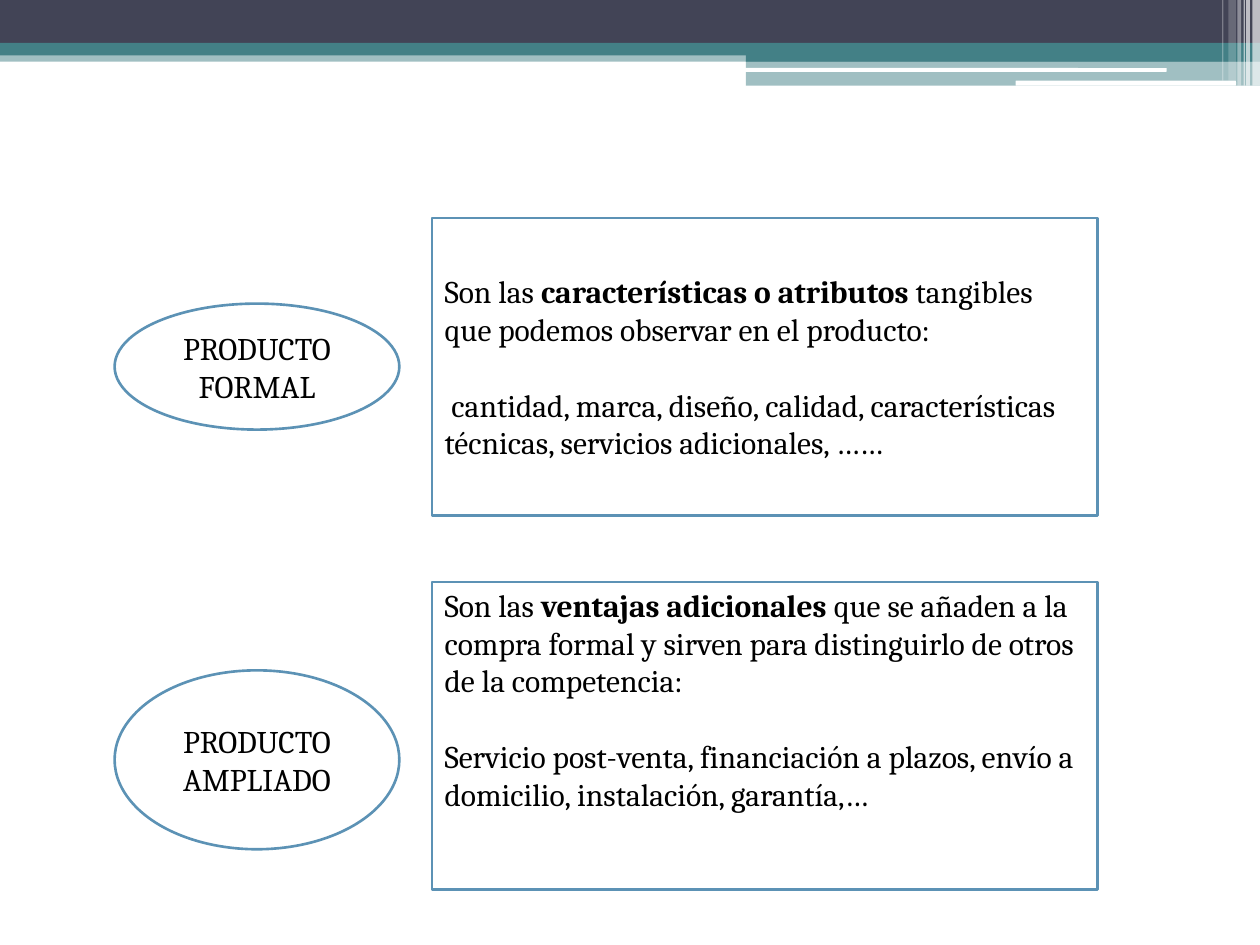
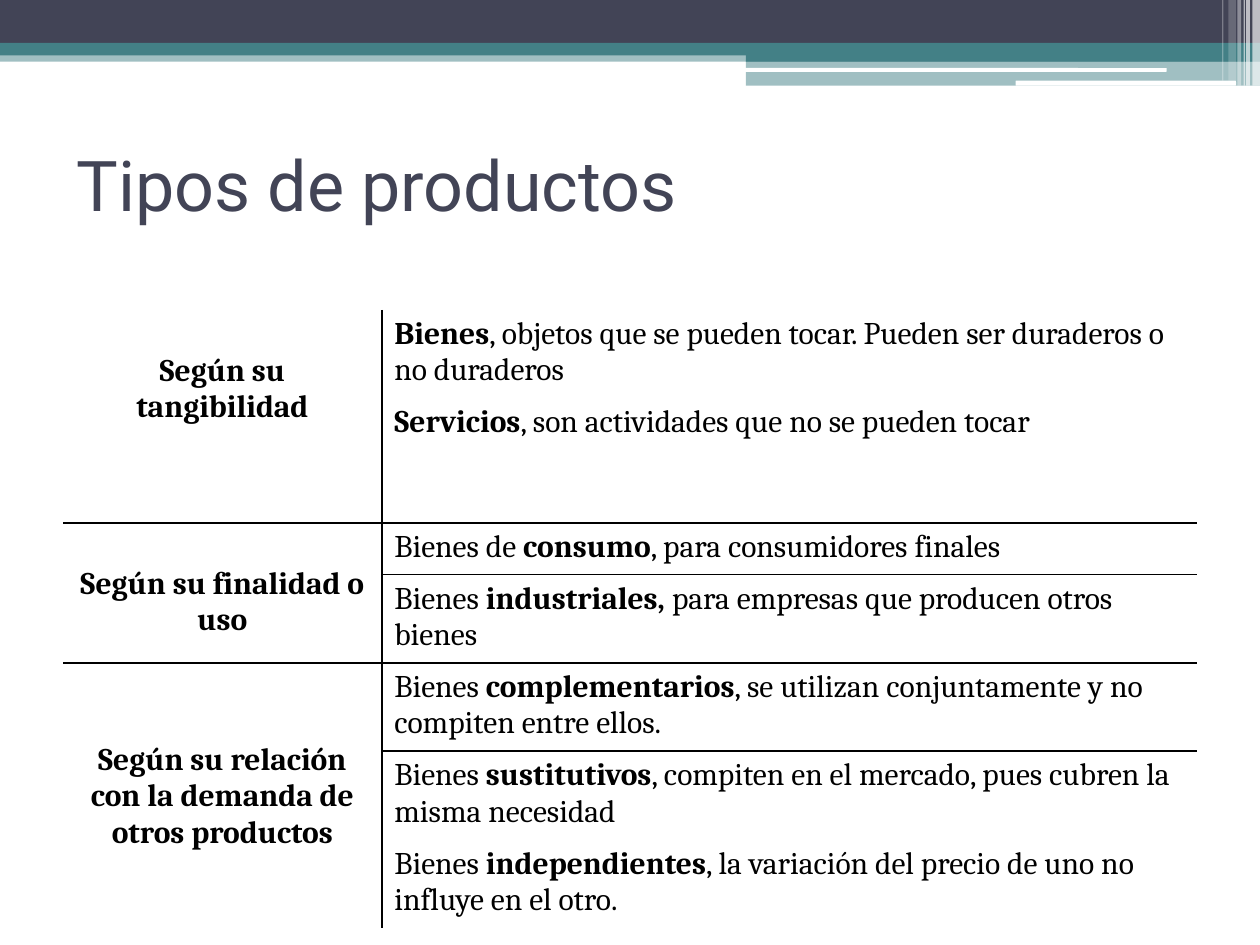
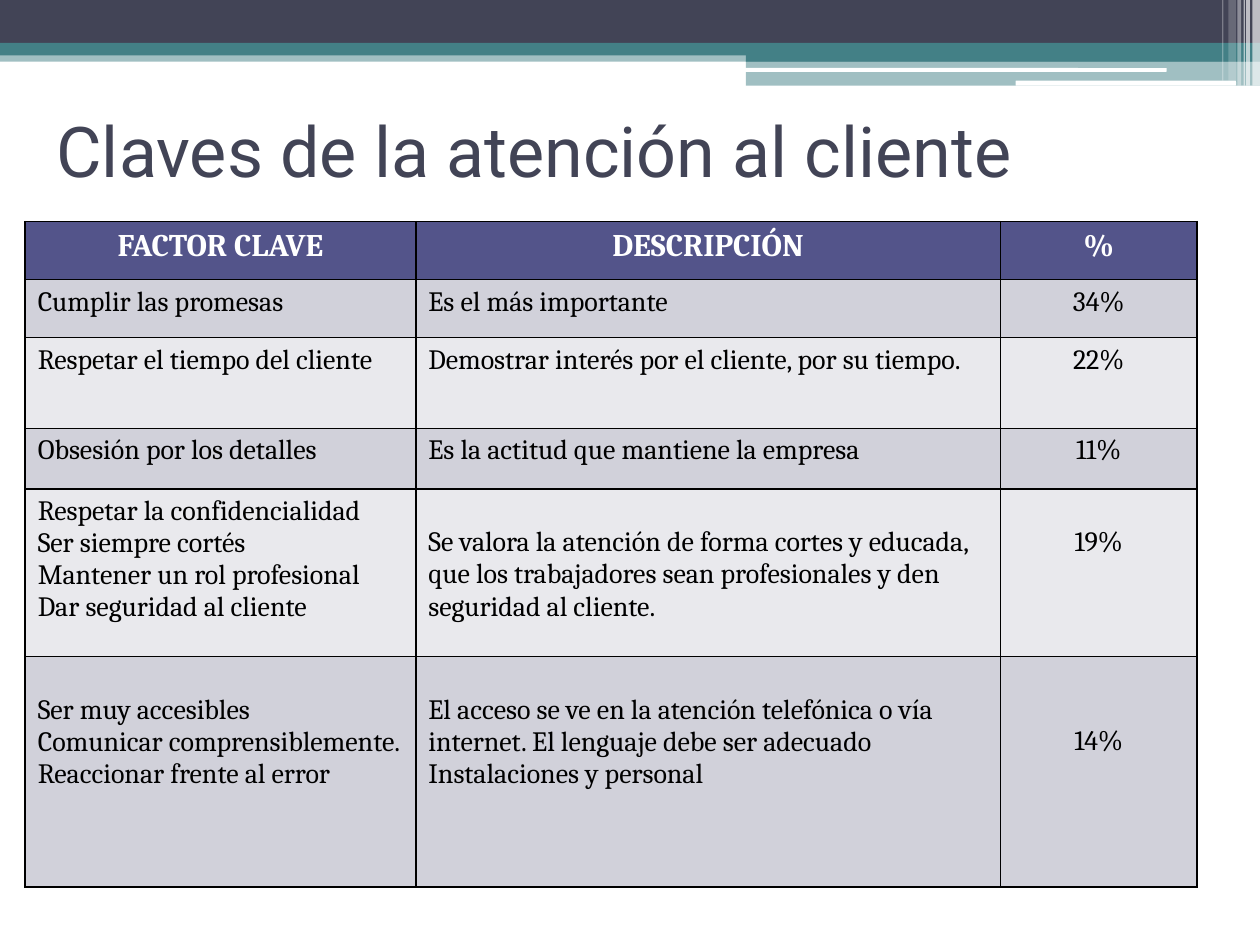
from lxml.etree import SubElement
from pptx import Presentation
from pptx.dml.color import RGBColor
from pptx.enum.shapes import MSO_SHAPE as Kind
from pptx.enum.text import MSO_ANCHOR as Anchor, PP_ALIGN as Align
from pptx.oxml import parse_xml
from pptx.oxml.ns import nsdecls, qn
from pptx.util import Inches, Pt

INK = {"navy": "424456", "teal": "438086", "blue": "5C92B5", "head": "53548A",
       "dark": "D1D1DA", "pale": "E9E9ED", "white": "FFFFFF", "black": "000000"}
BODY, HEAD = "Cambria", "Roboto"
PLAIN = "{2D5ABB26-0587-4C30-8999-92F81FD0307C}"  # no style, no grid
PAD = 0.05  # top margin of a cell

# left, top, width, height, colour, opacity in percent
BANDS = [
    (0, 0.4, 10, 0.09, "teal", 50),
    (0, 0, 10, 0.34, "navy", 100),
    (0, 0.34, 10, 0.1, "teal", 100),
    (5.92, 0.39, 4.08, 0.1, "teal", 100),
    (5.92, 0.48, 4.08, 0.2, "teal", 50),
]
PILLS = [(5.91, 0.54, 3.35, 0.03), (8.06, 0.64, 1.75, 0.04)]
# left, width, height, opacity in percent
STRIPES = [(9.94, 0.06, 0.68, 65), (9.89, 0.03, 0.68, 65), (9.87, 0.01, 0.68, 60),
           (9.82, 0.03, 0.68, 40), (9.75, 0.06, 0.64, 20), (9.7, 0.01, 0.64, 30)]

# Text between asterisks is bold.
LEVELS = [
    {"name": "PRODUCTO FORMAL", "oval": (2.41, 1), "box": (1.73, 2.36),
     "anchor": Anchor.MIDDLE,
     "text": ["Son las *características o atributos *tangibles que podemos observar "
              "en el producto:",
              " cantidad, marca, diseño, calidad, características técnicas, "
              "servicios adicionales, ……"]},
    {"name": "PRODUCTO AMPLIADO", "oval": (5.32, 1.42), "box": (4.62, 2.44),
     "anchor": Anchor.TOP,
     "text": ["Son las *ventajas adicionales *que se añaden a la compra formal y "
              "sirven para distinguirlo de otros de la competencia:",
              "Servicio post-venta, financiación a plazos, envío a domicilio, "
              "instalación, garantía,…"]},
]

# label, lines the label is lowered by, kinds
TYPES = [
    ("Según su tangibilidad", 1,
     ["*Bienes*, objetos que se pueden tocar. Pueden ser duraderos o no duraderos",
      "*Servicios*, son actividades que no se pueden tocar"]),
    ("Según su finalidad o uso", 1,
     ["Bienes de *consumo*, para consumidores finales",
      "Bienes *industriales,* para empresas que producen otros bienes"]),
    ("Según su relación con la demanda de otros productos", 2,
     ["Bienes *complementarios*, se utilizan conjuntamente y no compiten entre ellos.",
      "Bienes *sustitutivos*, compiten en el mercado, pues cubren la misma necesidad",
      "Bienes *independientes*, la variación del precio de uno no influye en el otro."]),
]

KEYS_HEAD = ["FACTOR CLAVE", "DESCRIPCIÓN", "%"]
# row height, lines each cell is lowered by, factors, description, share
KEYS = [
    (0.46, (0, 0, 0), ["Cumplir las promesas"], ["Es el más importante"], "34%"),
    (0.72, (0, 0, 0), ["Respetar el tiempo del cliente"],
     ["Demostrar interés por el cliente, por su tiempo."], "22%"),
    (0.48, (0, 0, 0), ["Obsesión por los detalles"],
     ["Es la actitud que mantiene la empresa"], "11%"),
    (1.33, (0, 1, 1),
     ["Respetar la confidencialidad", "Ser siempre cortés",
      "Mantener un rol profesional", "Dar seguridad al cliente"],
     ["Se valora la atención de forma cortes y educada, que los trabajadores sean "
      "profesionales y den seguridad al cliente."], "19%"),
    (1.83, (1, 1, 2),
     ["Ser muy accesibles", "Comunicar comprensiblemente.", "Reaccionar frente al error"],
     ["El acceso se ve en la atención telefónica o vía internet. El lenguaje debe ser "
      "adecuado", "Instalaciones y personal"], "14%"),
]


def rgb(name):
    """Return the named colour."""
    return RGBColor.from_string(INK[name])


def write(frame, lines, size=18, ink="black", face=BODY, bold=False,
          align=Align.LEFT, gap=0):
    """Write paragraphs, with bold between asterisks and a gap between paragraphs."""
    frame.word_wrap = True
    for i, line in enumerate(lines):
        para = frame.paragraphs[0] if i == 0 else frame.add_paragraph()
        para.alignment = align
        if i and gap:
            para.space_before = Pt(gap)
        font = para.font
        font.name, font.size, font.bold = face, Pt(size), bold
        font.color.rgb = rgb(ink)
        for j, part in enumerate(line.split("*")):
            if part:
                run = para.add_run()
                run.text = part
                if j % 2:
                    run.font.bold = True


def draw(slide, kind, at, fill, line=None, alpha=100):
    """Add a filled shape, outlined if a line colour is given."""
    shape = slide.shapes.add_shape(kind, *map(Inches, at))
    shape.shadow.inherit = False
    shape.fill.solid()
    shape.fill.fore_color.rgb = rgb(fill)
    if alpha < 100:
        tint = shape.fill._xPr.find(qn("a:solidFill"))[0]
        SubElement(tint, qn("a:alpha")).set("val", str(alpha * 1000))
    if line:
        shape.line.color.rgb = rgb(line)
        shape.line.width = Pt(1.5)
    else:
        shape.line.fill.background()
    return shape


def start(deck):
    """Add a slide with the bands at its top."""
    slide = deck.slides.add_slide(deck.slide_layouts[6])
    for *at, fill, alpha in BANDS:
        draw(slide, Kind.RECTANGLE, at, fill, alpha=alpha)
    for at in PILLS:
        draw(slide, Kind.ROUNDED_RECTANGLE, at, "white")
    for left, wide, high, alpha in STRIPES:
        draw(slide, Kind.RECTANGLE, (left, 0, wide, high), "white", alpha=alpha)
    return slide


def title(slide, text, at):
    """Add the slide title."""
    frame = slide.shapes.add_textbox(*map(Inches, at)).text_frame
    frame.vertical_anchor = Anchor.MIDDLE
    write(frame, [text], 40, "navy", HEAD)


def grid(slide, at, cols, rows):
    """Add a table without style and return it."""
    shape = slide.shapes.add_table(len(rows), len(cols), *map(Inches, at))
    table = shape.table
    table.first_row = table.horz_banding = False
    table._tbl.tblPr.find(qn("a:tableStyleId")).text = PLAIN
    for col, wide in zip(table.columns, cols):
        col.width = Inches(wide)
    for row, high in zip(table.rows, rows):
        row.height = Inches(high)
    shape.height = Inches(at[3])
    return table


def dress(cell, fill=None, edges="LRTB", drop=0):
    """Set a cell's fill, its black edges and its extra top margin."""
    if fill:
        cell.fill.solid()
        cell.fill.fore_color.rgb = rgb(fill)
    else:
        cell.fill.background()
    cell.margin_top = Inches(PAD + drop)
    props = cell._tc.get_or_add_tcPr()
    for i, side in enumerate(edges):
        props.insert(i, parse_xml(
            f'<a:ln{side} {nsdecls("a")} w="12700"><a:solidFill>'
            f'<a:srgbClr val="{INK["black"]}"/></a:solidFill></a:ln{side}>'))


def levels(deck):
    """Build the slide on formal and extended products."""
    slide = start(deck)
    for item in LEVELS:
        top, high = item["oval"]
        oval = draw(slide, Kind.OVAL, (0.91, top, 2.26, high), "white", "blue")
        oval.text_frame.vertical_anchor = Anchor.MIDDLE
        write(oval.text_frame, [item["name"]], align=Align.CENTER)
    for item in LEVELS:
        top, high = item["box"]
        box = draw(slide, Kind.RECTANGLE, (3.43, top, 5.28, high), "white", "blue")
        frame = box.text_frame
        frame.vertical_anchor = item["anchor"]
        if item["anchor"] == Anchor.TOP:
            frame.margin_top = Inches(0.03)
        write(frame, item["text"], gap=21.7)


def types(deck):
    """Build the slide on the types of products."""
    slide = start(deck)
    title(slide, "Tipos de productos", (0.51, 0.99, 8.82, 0.94))
    count = sum(len(kinds) for _, _, kinds in TYPES)
    table = grid(slide, (0.5, 2.46, 9, 4.31), [2.53, 6.47], [0.41] * count)
    row = 0
    for label, drop, kinds in TYPES:
        last = row + len(kinds) - 1
        first = table.cell(row, 0)
        first.merge(table.cell(last, 0))
        write(first.text_frame, [label], bold=True, align=Align.CENTER)
        for i, kind in enumerate(kinds, row):
            edge = ("T" if i == row and row else "") + (
                "B" if i == last and last < count - 1 else "")
            dress(table.cell(i, 0), None, "R" + edge, drop * 0.29 if i == row else 0)
            dress(table.cell(i, 1), None, "L" + edge)
            write(table.cell(i, 1).text_frame, [kind])
        row = last + 1


def keys(deck):
    """Build the slide on the keys of customer care."""
    slide = start(deck)
    title(slide, "Claves de la atención al cliente", (0.35, 0.68, 8.98, 1.02))
    rows = [0.46] + [key[0] for key in KEYS]
    table = grid(slide, (0.2, 1.76, 9.3, 5.29), [3.1, 4.64, 1.56], rows)
    for i, name in enumerate(KEYS_HEAD):
        dress(table.cell(0, i), "head")
        write(table.cell(0, i).text_frame, [name], 18, "white", bold=True,
              align=Align.CENTER)
    fills = ["dark", "pale"]
    for i, (_, drops, facts, about, share) in enumerate(KEYS):
        for j, lines in enumerate([facts, about, [share]]):
            cell = table.cell(i + 1, j)
            dress(cell, fills[i % 2], drop=drops[j] * 0.25)
            write(cell.text_frame, lines, 16,
                  align=Align.CENTER if j == 2 else Align.LEFT)


deck = Presentation()
deck.slide_width, deck.slide_height = Inches(10), Inches(7.5)
levels(deck)
types(deck)
keys(deck)
deck.save("out.pptx")
